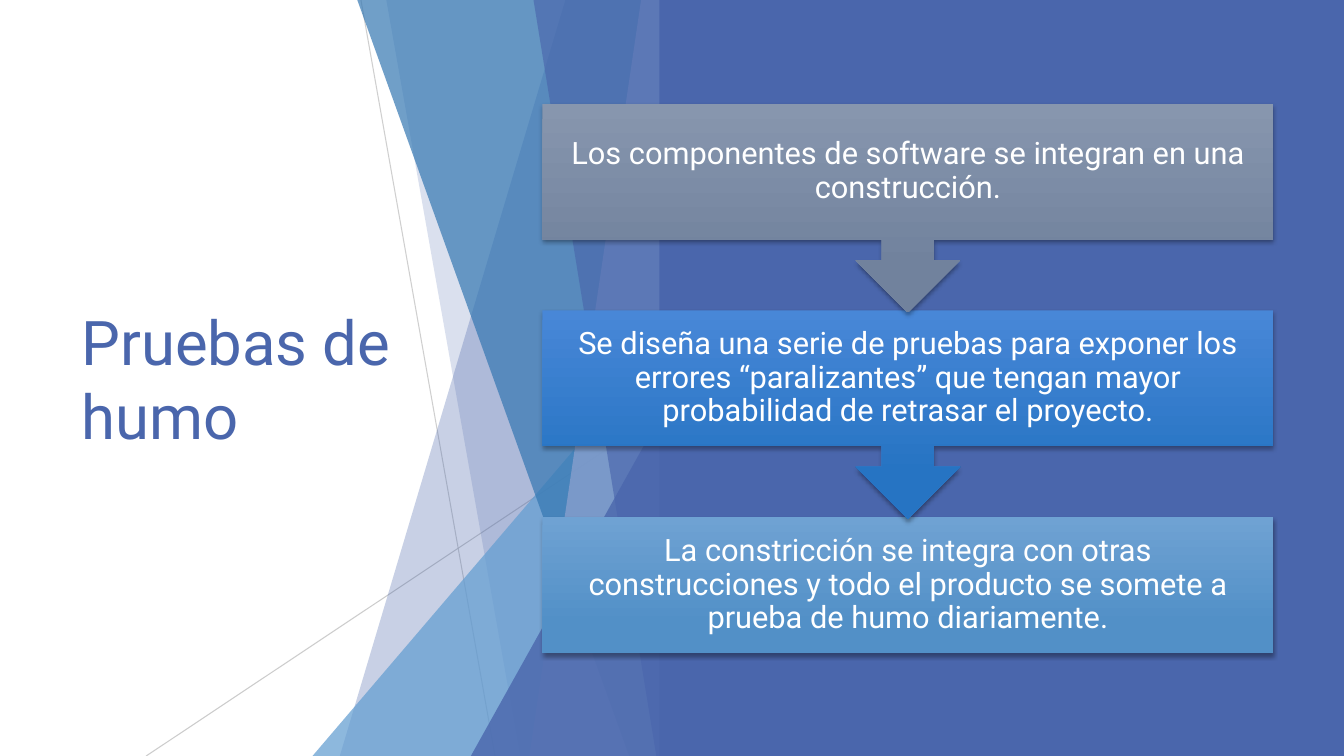
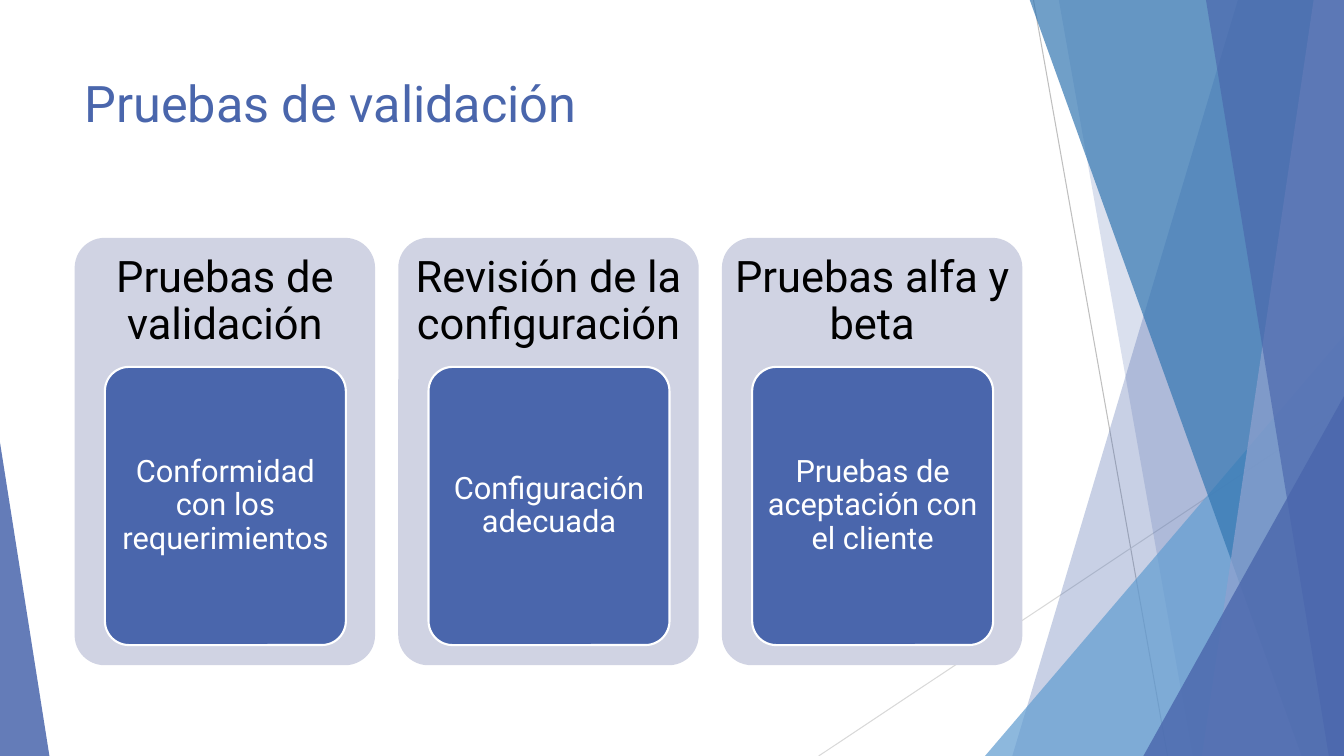
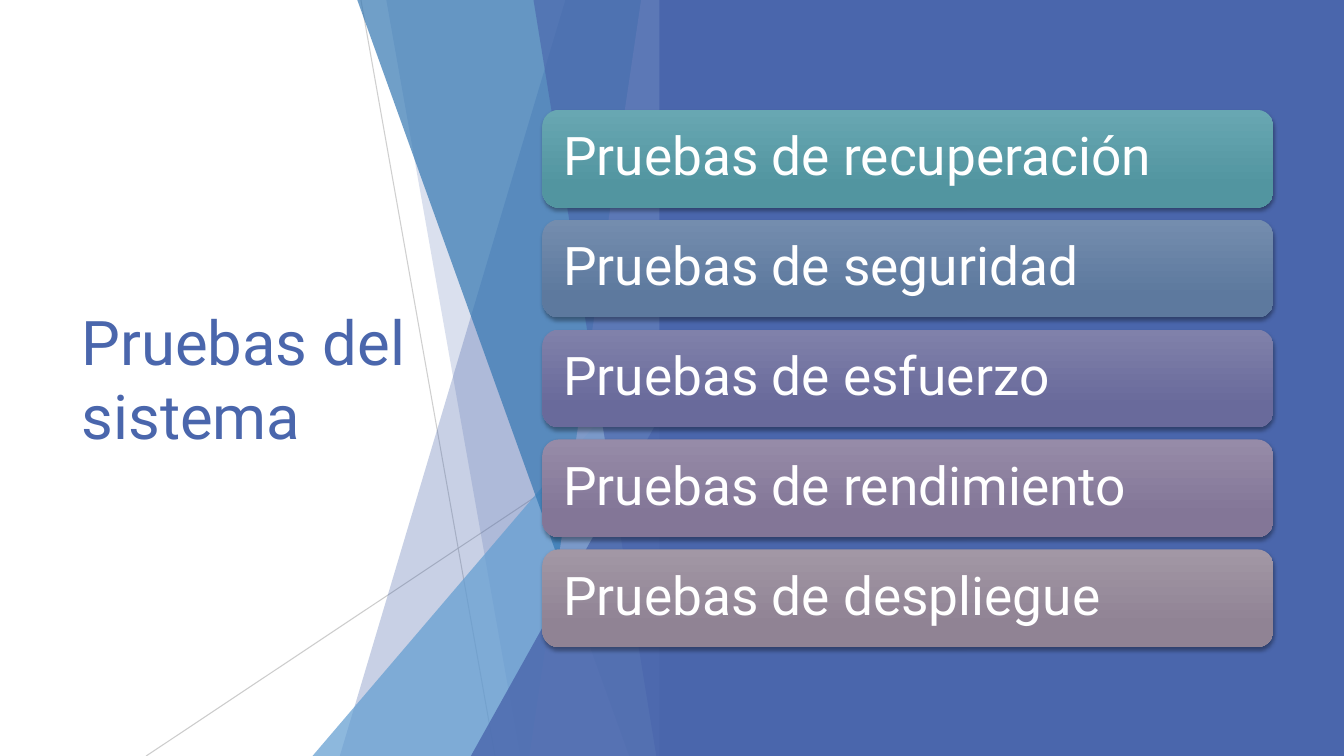
from dataclasses import dataclass

from lxml import etree
from pptx import Presentation
from pptx.dml.color import RGBColor
from pptx.enum.shapes import MSO_CONNECTOR, MSO_SHAPE
from pptx.enum.text import MSO_ANCHOR, PP_ALIGN
from pptx.oxml.ns import qn
from pptx.util import Inches, Pt

RECT = MSO_SHAPE.RECTANGLE
ROUNDED = MSO_SHAPE.ROUNDED_RECTANGLE
TRIANGLE = MSO_SHAPE.ISOSCELES_TRIANGLE
CALLOUT = MSO_SHAPE.DOWN_ARROW_CALLOUT
STRAIGHT = MSO_CONNECTOR.STRAIGHT
TOP, MIDDLE = MSO_ANCHOR.TOP, MSO_ANCHOR.MIDDLE
LEFT, CENTER = PP_ALIGN.LEFT, PP_ALIGN.CENTER


@dataclass(frozen=True)
class Theme:
    font: str = "Roboto"
    white: str = "FFFFFF"
    black: str = "000000"
    indigo: str = "4A66AC"
    sky: str = "629DD1"
    ocean: str = "3477B2"
    lavender: str = "90A2CF"
    card: str = "D0D3E3"
    gray: str = "BFBFBF"
    pale_gray: str = "D9D9D9"
    big_title: int = 44
    title: int = 36
    row: int = 38
    heading: int = 31
    body: int = 22


T = Theme()
WIDTH, HEIGHT = 13.33, 7.5


def paint(shp, colors, alpha=100):
    shp.shadow.inherit = False
    shp.line.fill.background()
    sp_pr = shp.element.spPr
    if isinstance(colors, str):
        shp.fill.solid()
        shp.fill.fore_color.rgb = RGBColor.from_string(colors)
        if alpha < 100:
            color = next(sp_pr.iter(qn("a:srgbClr")))
            etree.SubElement(color, qn("a:alpha"), val=str(alpha * 1000))
        return
    shp.fill.gradient()
    shp.fill.gradient_angle = 270
    for stop, color, position in zip(shp.fill.gradient_stops, colors, (0, 0.78)):
        stop.color.rgb = RGBColor.from_string(color)
        stop.position = position
    shadow = etree.SubElement(
        sp_pr.find(qn("a:effectLst")), qn("a:outerShdw"),
        blurRad=str(Pt(3)), dist=str(Pt(2)), dir="5400000", rotWithShape="0")
    color = etree.SubElement(shadow, qn("a:srgbClr"), val=T.black)
    etree.SubElement(color, qn("a:alpha"), val="35000")


def write(shp, text, size, color=T.white, align=CENTER, anchor=MIDDLE,
          margins=(0.1, 0.05), spacing=0.9):
    side, edge = (Inches(m) for m in margins)
    tf = shp.text_frame
    p = tf.paragraphs[0]
    r = p.add_run()
    formats = (
        (tf, {"word_wrap": True, "vertical_anchor": anchor,
              "margin_left": side, "margin_right": side,
              "margin_top": edge, "margin_bottom": edge}),
        (p, {"alignment": align, "line_spacing": spacing}),
        (r, {"text": text}),
        (r.font, {"name": T.font, "size": Pt(size)}),
    )
    for target, values in formats:
        for name, value in values.items():
            setattr(target, name, value)
    r.font.color.rgb = RGBColor.from_string(color)


prs = Presentation()
prs.slide_width, prs.slide_height = Inches(WIDTH), Inches(HEIGHT)
smoke, validation, system = (prs.slides.add_slide(prs.slide_layouts[6]) for _ in range(3))

SPLIT_TITLE = ((0.71, 1.51, 3.88, 4.48), T.big_title, MIDDLE)
TOP_TITLE = ((0.74, 0.67, 9.4, 1.44), T.title, TOP)
SPLIT_LINES = ((T.gray, 75), (T.gray, 80))
SIDE_LINES = ((T.gray, 100), (T.pale_gray, 100))
LINE_ENDS = ((10.25, 0, 11.58, HEIGHT), (WIDTH, 4.03, 8.12, HEIGHT))
FACETS = (
    ("slab", 12.28, 10.04, T.indigo, 30),
    ("slab", 10.5, 11.83, T.indigo, 20),
    ("triangle", 3.33, 9.77, T.sky, 72),
    ("slab", 10.21, 12.91, T.ocean, 70),
    ("slab", 13.03, 11.92, T.lavender, 70),
    ("slab", 11.96, 13.18, T.indigo, 65),
    ("triangle", 3.93, 11.34, T.indigo, 80),
)

for s, title, (box, size, anchor), shift, lines in (
    (smoke, "Pruebas de humo", SPLIT_TITLE, 6.67, SPLIT_LINES),
    (validation, "Pruebas de validación", TOP_TITLE, 0, SIDE_LINES),
    (system, "Pruebas del sistema", SPLIT_TITLE, 6.67, SPLIT_LINES),
):
    for (x1, y1, x2, y2), (color, alpha) in zip(LINE_ENDS, lines):
        line = s.shapes.add_connector(
            STRAIGHT, Inches(x1 - shift), Inches(y1), Inches(x2 - shift), Inches(y2))
        line.line.width = Pt(0.75)
        line.line.color.rgb = RGBColor.from_string(color)
        sp_pr = line.element.spPr
        etree.SubElement(next(sp_pr.iter(qn("a:srgbClr"))), qn("a:alpha"), val=str(alpha * 1000))
        etree.SubElement(sp_pr, qn("a:effectLst"))

    right = WIDTH - shift
    for kind, top, bottom_x, color, alpha in FACETS:
        x = bottom_x - shift
        if kind == "slab":
            outline = s.shapes.build_freeform(Inches(top - shift), Inches(-0.01))
            outline.add_line_segments([
                (Inches(right), Inches(-0.01)),
                (Inches(right), Inches(HEIGHT)),
                (Inches(x), Inches(HEIGHT)),
            ])
            facet = outline.convert_to_shape()
        else:
            facet = s.shapes.add_shape(
                TRIANGLE, Inches(x), Inches(top), Inches(right - x), Inches(HEIGHT - top))
            facet.adjustments[0] = 1
        paint(facet, color, alpha)

    if shift:
        panel = s.shapes.add_shape(RECT, Inches(6.54), 0, Inches(WIDTH - 6.54), Inches(HEIGHT))
        paint(panel, T.indigo)
    else:
        corner = s.shapes.add_shape(TRIANGLE, 0, Inches(4.39), Inches(0.49), Inches(3.11))
        corner.adjustments[0] = 0
        paint(corner, T.indigo, 85)

    write(s.shapes.add_textbox(*map(Inches, box)), title, size, T.indigo, LEFT, anchor, spacing=1)

STEPS = (
    ("Los componentes de software se integran en una construcción.",
     CALLOUT, 2.07, ("8796AE", "71829D")),
    ("Se diseña una serie de pruebas para exponer los errores “paralizantes” que tengan "
     "mayor probabilidad de retrasar el proyecto.",
     CALLOUT, 2.07, ("4887D7", "2674C3")),
    ("La constricción se integra con otras construcciones y todo el producto se somete a "
     "prueba de humo diariamente.",
     RECT, 1.35, ("6FA2D3", "5290C7")),
)
for i, (text, preset, height, colors) in reversed(list(enumerate(STEPS))):
    step = smoke.shapes.add_shape(
        preset, Inches(5.38), Inches(1.03 + 2.05 * i), Inches(7.25), Inches(height))
    paint(step, colors)
    write(step, text, T.body, margins=(0.17, 0.17))

CARDS = (
    ("Pruebas de validación", "Conformidad con los requerimientos"),
    ("Revisión de la configuración", "Configuración adecuada"),
    ("Pruebas alfa y beta", "Pruebas de aceptación con el cliente"),
)
for i, (heading, detail) in enumerate(CARDS):
    x = 0.74 + 3.21 * i
    card = validation.shapes.add_shape(
        ROUNDED, Inches(x), Inches(2.36), Inches(2.98), Inches(4.24))
    card.adjustments[0] = 0.1
    paint(card, T.card)
    label = validation.shapes.add_textbox(
        Inches(x), Inches(2.36), Inches(2.98), Inches(1.27))
    write(label, heading, T.heading, T.black, margins=(0.13, 0.13))
    tile = validation.shapes.add_shape(
        ROUNDED, Inches(x + 0.3), Inches(3.64), Inches(2.39), Inches(2.76))
    tile.adjustments[0] = 0.1
    paint(tile, T.indigo)
    tile.line.color.rgb = RGBColor.from_string(T.white)
    tile.line.width = Pt(1.5)
    write(tile, detail, T.body, margins=(0.06, 0.05))

ROWS = (
    ("Pruebas de recuperación", ("68A7B2", "5295A0")),
    ("Pruebas de seguridad", ("748DAE", "5D799E")),
    ("Pruebas de esfuerzo", ("8081AA", "696A9B")),
    ("Pruebas de rendimiento", ("968BA8", "837697")),
    ("Pruebas de despliegue", ("A297A5", "908394")),
)
for i, (text, colors) in enumerate(ROWS):
    row = system.shapes.add_shape(
        ROUNDED, Inches(5.38), Inches(1.09 + 1.09 * i), Inches(7.25), Inches(0.97))
    paint(row, colors)
    write(row, text, T.row, align=LEFT, margins=(0.16, 0.16))

prs.save("out.pptx")
